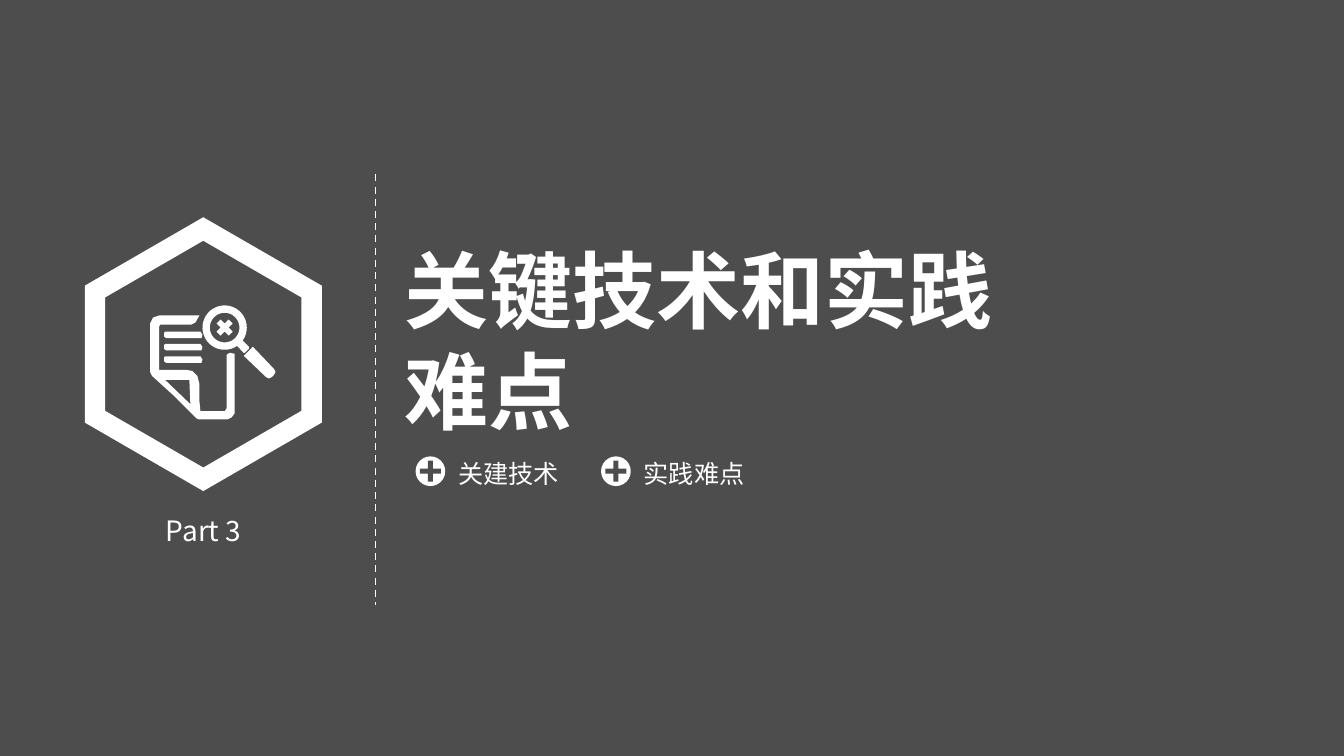
from dataclasses import dataclass
from math import cos, radians, sin

from lxml import etree
from pptx import Presentation
from pptx.dml.color import RGBColor
from pptx.enum import dml, shapes, text
from pptx.oxml import ns
from pptx.util import Pt


@dataclass(frozen=True)
class Theme:
    back: RGBColor = RGBColor(0x4D, 0x4D, 0x4D)
    ink: RGBColor = RGBColor(0xFF, 0xFF, 0xFF)
    font: str = "Noto Sans CJK SC"
    title: int = 60
    number: int = 20
    label: int = 18
    lead: float = 1.2


THEME = Theme()
GRID = 0.72  # points per unit of the page icon


def ring(x, y, size, count, start=0, sweep=360):
    """Return count points on an arc around (x, y)."""
    turns = [radians(start + sweep * i / count) for i in range(count)]
    return [(x + size * cos(t), y + size * sin(t)) for t in turns]


def place(shape, left, top, width, height):
    box = dict(left=left, top=top, width=width, height=height)
    for name, value in box.items():
        setattr(shape, name, Pt(value))


def paint(shape, color):
    shape.shadow.inherit = False
    shape.fill.solid()
    shape.fill.fore_color.rgb = color
    shape.line.fill.background()


def outline(slide, paths):
    """Draw closed paths, given in points, as one shape; nested paths are holes."""
    paths = [[(Pt(x), Pt(y)) for x, y in path] for path in paths]
    pen = slide.shapes.build_freeform(*paths[0][0])
    for i, path in enumerate(paths):
        if i:
            pen.move_to(*path[0])
        pen.add_line_segments(path[1:], close=True)
    paint(pen.convert_to_shape(), THEME.ink)


def write(shape, words, size, bold=False, align=text.PP_ALIGN.LEFT):
    frame = shape.text_frame
    form = dict(word_wrap=True, auto_size=text.MSO_AUTO_SIZE.NONE,
                vertical_anchor=text.MSO_ANCHOR.TOP,
                margin_left=Pt(7.2), margin_right=Pt(7.2),
                margin_top=Pt(3.6), margin_bottom=Pt(3.6))
    for name, value in form.items():
        setattr(frame, name, value)
    para = frame.paragraphs[0]
    para.alignment = align
    para.line_spacing = Pt(size * THEME.lead)
    run = para.add_run()
    run.text = words
    for name, value in dict(name=THEME.font, size=Pt(size), bold=bold).items():
        setattr(run.font, name, value)
    run.font.color.rgb = THEME.ink
    east = etree.SubElement(run._r.get_or_add_rPr(), ns.qn("a:ea"))
    east.set("typeface", THEME.font)


def note(slide, words, box, size, **form):
    shape = slide.shapes.add_textbox(0, 0, 0, 0)
    place(shape, *box)
    write(shape, words, size, **form)


def rule(slide, x, top, end):
    line = slide.shapes.add_connector(
        shapes.MSO_CONNECTOR.STRAIGHT, Pt(x), Pt(top), Pt(x), Pt(end))
    line.line.color.rgb = THEME.ink
    line.line.width = Pt(1.25)
    line.line.dash_style = dml.MSO_LINE.DASH
    etree.SubElement(line._element.spPr, ns.qn("a:effectLst"))


def badge(slide, x, y):
    """Draw a disc with a plus sign centred on (x, y)."""
    kinds = shapes.MSO_SHAPE
    for kind, half, color in ((kinds.OVAL, 10.6, THEME.ink),
                              (kinds.CROSS, 7.5, THEME.back)):
        shape = slide.shapes.add_shape(kind, 0, 0, 0, 0)
        place(shape, x - half, y - half, 2 * half, 2 * half)
        paint(shape, color)
        if kind == kinds.CROSS:
            shape.adjustments[0] = 0.38


def icon(slide, left, top):
    """Draw a folded page under a magnifier, on a grid of small units."""
    sheet = [(0, 20), (0, 68), (2, 72), (24, 92), (46, 114), (48, 115),
             (77, 115), (81, 113), (84, 109), (84, 50), (79, 49), (76, 51),
             (76, 104), (74, 107), (50, 107), (49, 97), (49, 80), (47, 72),
             (42, 67), (36, 66), (9, 66), (9, 23), (10, 21), (41, 21),
             (45, 19), (49, 12), (9, 12), (3, 14)]
    fold = [(40, 100), (39, 76), (15, 76)]
    rows = [[(15, y), (50, y), (52, y + 3), (51, y + 6.5), (16, y + 6.5),
             (14, y + 5), (14, y + 1)] for y in (28, 40.2, 52.5)]
    x, y = 74, 24
    lens = ring(x, y, 22, 40, 56, 348) + [
        (92, 37), (98, 43), (98, 45), (94, 49), (93, 49), (86, 42)]
    glass = ring(x, y, 14.7, 36)
    cross = []
    for a, b in ((1, 0), (0, 1), (-1, 0), (0, -1)):
        cross += [(x + a * p - b * q, y + b * p + a * q)
                  for p, q in ((-8, -4), (-4, -8), (0, -4))]
    grip = [(102, 43), (123, 65), (124.5, 68), (123, 71), (121, 73),
            (118, 74.5), (115, 73), (93, 52)]
    paths = [sheet, fold, *rows, lens, glass, cross, grip]
    outline(slide, [[(left + p * GRID, top + q * GRID) for p, q in path]
                    for path in paths])


def main():
    deck = Presentation()
    deck.slide_width, deck.slide_height = Pt(960.48), Pt(540)
    slide = deck.slides.add_slide(deck.slide_layouts[5])
    slide.background.fill.solid()
    slide.background.fill.fore_color.rgb = THEME.back

    title = slide.shapes.title
    place(title, 282.2, 167, 458.6, 152.6)
    write(title, "关键技术和实践难点", THEME.title, bold=True)

    outline(slide, [ring(145.3, 253, size, 6, 30) for size in (97.8, 81)])
    icon(slide, 107.3, 216.7)
    note(slide, "Part 3", (103, 363, 85, 31.7), THEME.number,
         align=text.PP_ALIGN.CENTER)
    rule(slide, 268.4, 124.5, 432)

    for i, words in enumerate(("关建技术", "实践难点")):
        x = 307.6 + 132.6 * i
        badge(slide, x, 336.6)
        note(slide, words, (x + 12.8, 323.5, 100, 28.8), THEME.label)
    deck.save("out.pptx")


if __name__ == "__main__":
    main()
